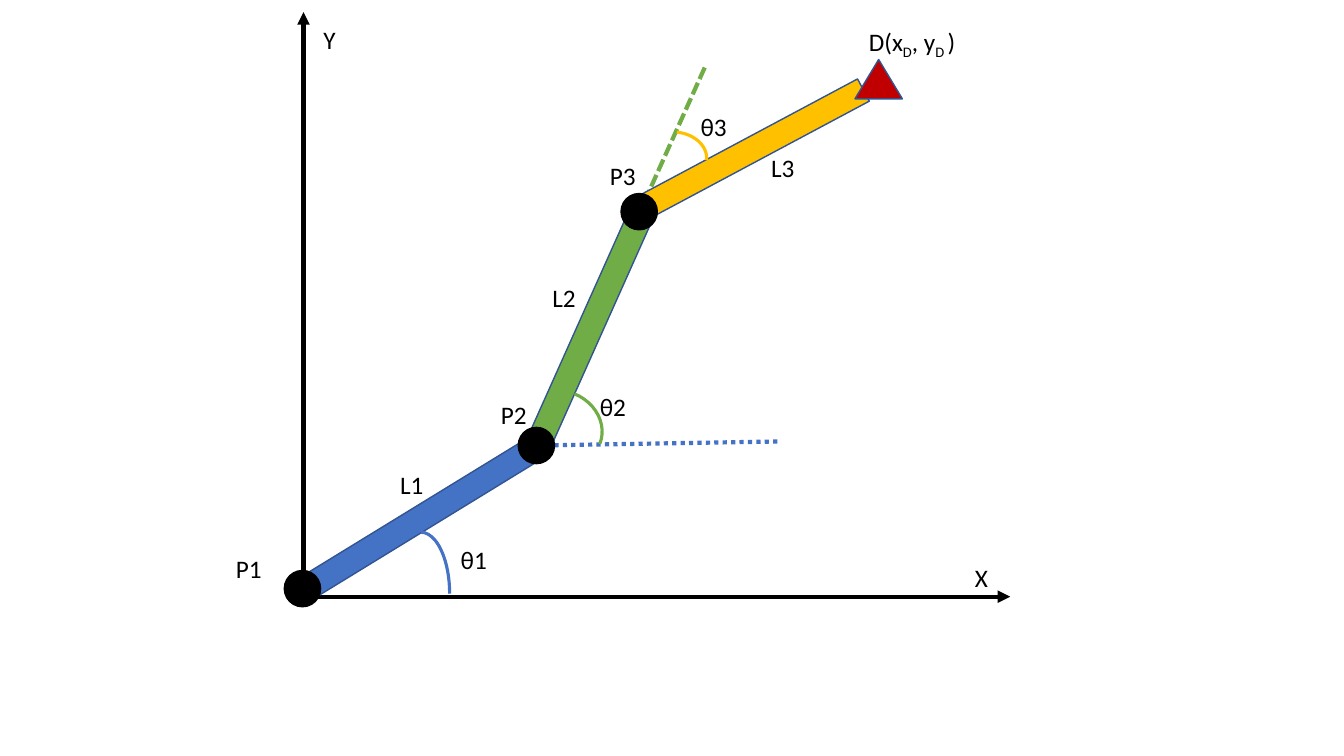
"""Build a slide showing a planar robot arm with three links."""
import dataclasses

import lxml.etree
import pptx
import pptx.dml.color
import pptx.enum.dml
import pptx.enum.shapes
import pptx.enum.text
import pptx.oxml.ns
import pptx.util

Inches = pptx.util.Inches
SHAPE = pptx.enum.shapes.MSO_SHAPE
DASH = pptx.enum.dml.MSO_LINE


@dataclasses.dataclass(frozen=True)
class Theme:
    """Colours, font and sizes of the slide."""
    black: str = "000000"
    blue: str = "4472C4"
    green: str = "70AD47"
    gold: str = "FFC000"
    red: str = "C00000"
    edge: str = "325491"
    font: str = "Calibri"
    text_size: float = 18
    edge_width: float = 1
    arc_width: float = 2.25
    line_width: float = 3


@dataclasses.dataclass(frozen=True)
class Box:
    """Region of the page, in inches."""
    left: float
    top: float

    def place(self, x, y):
        """Return page lengths for a point measured from the box corner."""
        return Inches(self.left + x), Inches(self.top + y)


THEME = Theme()


def colour(value):
    """Return an RGB colour from its hex code."""
    return pptx.dml.color.RGBColor.from_string(value)


def add_line(page, box, start, end, line_colour, dash=None, arrow=False):
    """Draw a straight line, optionally dashed or with an arrowhead."""
    line = page.shapes.add_connector(
        pptx.enum.shapes.MSO_CONNECTOR.STRAIGHT, *box.place(*start), *box.place(*end))
    line.line.color.rgb = colour(line_colour)
    line.line.width = pptx.util.Pt(THEME.line_width)
    if dash:
        line.line.dash_style = dash
    if arrow:
        outline = line.line._get_or_add_ln()
        lxml.etree.SubElement(outline, pptx.oxml.ns.qn("a:tailEnd"), type="triangle")
    lxml.etree.SubElement(line._element.spPr, pptx.oxml.ns.qn("a:effectLst"))


def add_part(page, box, kind, corner, size, fill, edge, width=THEME.edge_width, turn=0):
    """Draw a preset shape, unfilled when fill is None."""
    part = page.shapes.add_shape(kind, *box.place(*corner), *map(Inches, size))
    part.shadow.inherit = False
    part.rotation = turn
    if fill:
        part.fill.solid()
        part.fill.fore_color.rgb = colour(fill)
    else:
        part.fill.background()
    part.line.color.rgb = colour(edge)
    part.line.width = pptx.util.Pt(width)


def add_label(page, box, corner, width, pieces, wrap=True):
    """Write one label from pieces of text, every second one a subscript."""
    label = page.shapes.add_textbox(*box.place(*corner), Inches(width), Inches(0.4))
    frame = label.text_frame
    frame.word_wrap = wrap
    frame.auto_size = pptx.enum.text.MSO_AUTO_SIZE.SHAPE_TO_FIT_TEXT
    para = frame.paragraphs[0]
    for index, piece in enumerate(pieces):
        span = para.add_run()
        span.text = piece
        span.font.name = THEME.font
        span.font.size = pptx.util.Pt(THEME.text_size)
        span.font.color.rgb = colour(THEME.black)
        if index % 2:
            span._r.get_or_add_rPr().set("baseline", "-25000")


def draw_axes(page, box):
    """Draw the reference lines and the two axes."""
    add_line(page, box, (5.71, 4.38), (3.32, 4.42), THEME.blue, DASH.ROUND_DOT)
    add_line(page, box, (4.99, 0.67), (4.32, 2.16), THEME.green, DASH.SQUARE_DOT)
    add_line(page, box, (1.01, 5.91), (1.01, 0.12), THEME.black, arrow=True)
    add_line(page, box, (1, 5.92), (8.02, 5.92), THEME.black, arrow=True)


def draw_arm(page, box):
    """Draw the links, the joints over them and the end point."""
    links = [((0.88, 5), 328.5, THEME.blue),
             ((2.53, 3.14), 294.1, THEME.green),
             ((4.08, 1.39), 331.9, THEME.gold)]
    for corner, turn, fill in links:
        add_part(page, box, SHAPE.RECTANGLE, corner, (2.64, 0.25), fill, THEME.edge, turn=turn)
    for joint in [(3.14, 4.24), (4.16, 1.92), (0.82, 5.66)]:
        add_part(page, box, SHAPE.OVAL, joint, (0.36, 0.36), THEME.black, THEME.black)
    add_part(page, box, SHAPE.ISOSCELES_TRIANGLE, (6.48, 0.59), (0.47, 0.39),
             THEME.red, THEME.edge)


def draw_angles(page, box):
    """Draw the arc of each joint angle."""
    arcs = [((1.89, 5.28), (0.57, 1.22), 0, THEME.blue),
            ((3.14, 3.88), (0.84, 0.73), 22.3, THEME.green),
            ((4.37, 1.31), (0.64, 0.49), 5.4, THEME.gold)]
    for corner, size, turn, edge in arcs:
        add_part(page, box, SHAPE.ARC, corner, size, None, edge, THEME.arc_width, turn)


def write_labels(page, box):
    """Name the links, joints, angles, end point and axes."""
    families = {
        "L": (0.6, [(1.87, 4.61), (3.38, 2.75), (5.55, 1.46)]),
        "P": (0.6, [(0.24, 5.44), (2.87, 3.91), (3.95, 1.54)]),
        "θ": (0.59, [(2.47, 5.35), (3.85, 3.83), (4.85, 1.06)]),
    }
    for letter, (width, corners) in families.items():
        for number, corner in enumerate(corners, 1):
            add_label(page, box, corner, width, [f"{letter}{number}"])
    add_label(page, box, (6.52, 0.21), 1.17, ["D(x", "D", ", y", "D ", ")"])
    add_label(page, box, (7.57, 5.53), 0.33, ["X"], wrap=False)
    add_label(page, box, (1.11, 0.19), 0.32, ["Y"], wrap=False)


def main():
    """Create the deck and save it."""
    deck = pptx.Presentation()
    deck.slide_width, deck.slide_height = Inches(13.33), Inches(7.5)
    page = deck.slides.add_slide(deck.slide_layouts[6])
    diagram = Box(2, 0)
    for draw in (draw_axes, draw_arm, draw_angles, write_labels):
        draw(page, diagram)
    deck.save("out.pptx")


if __name__ == "__main__":
    main()
